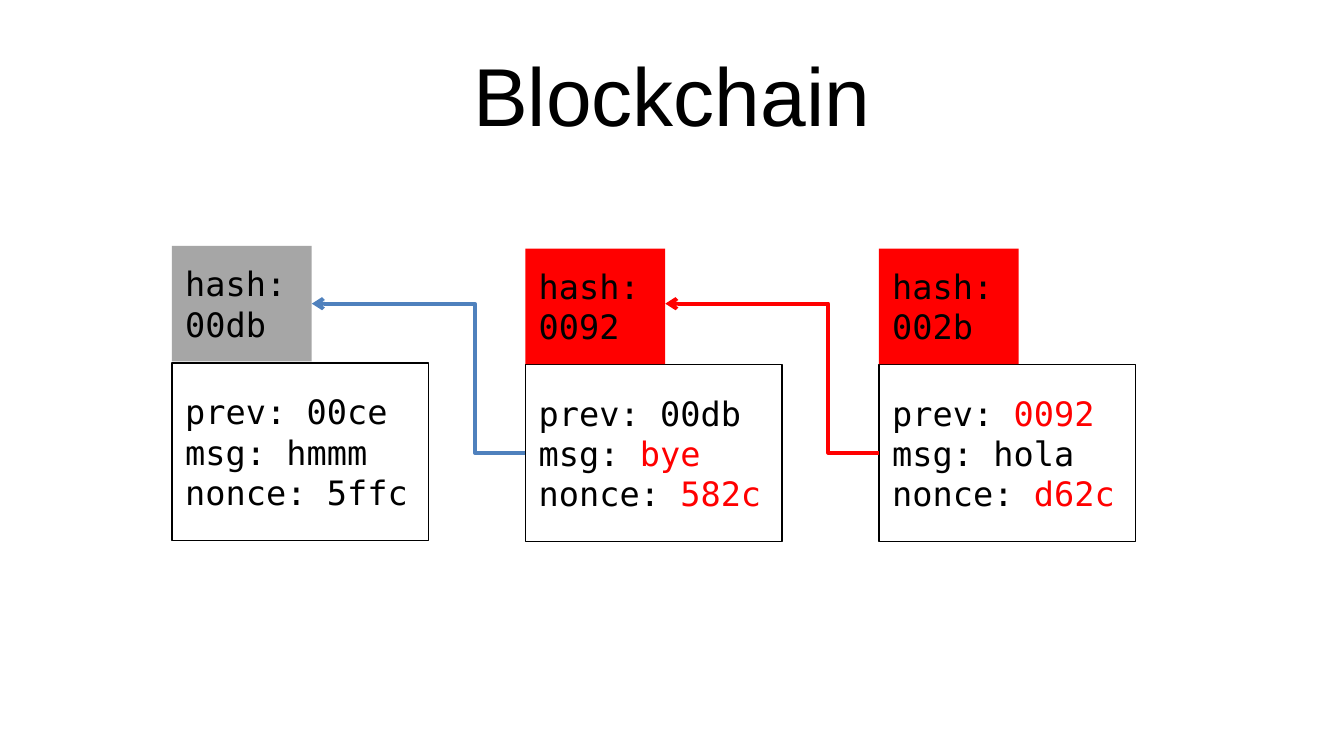
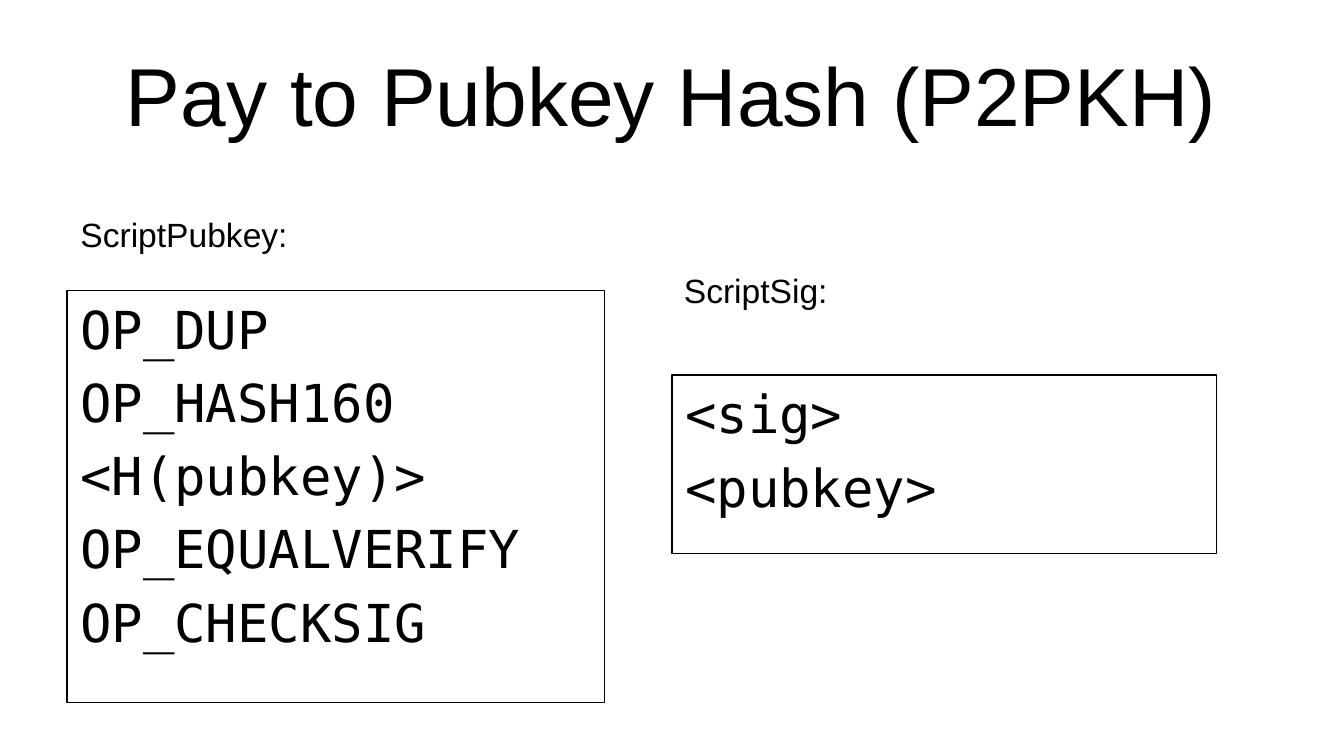
from lxml import etree
from pptx import Presentation
from pptx.dml.color import RGBColor
from pptx.enum.shapes import MSO_CONNECTOR, MSO_SHAPE
from pptx.enum.text import MSO_ANCHOR, PP_ALIGN
from pptx.oxml.ns import qn
from pptx.util import Inches, Pt

RECT, ELBOW = MSO_SHAPE.RECTANGLE, MSO_CONNECTOR.ELBOW
TOP, MIDDLE = MSO_ANCHOR.TOP, MSO_ANCHOR.MIDDLE
SANS, MONO = "Arial", "DejaVu Sans Mono"
BLACK, RED, GRAY, BLUE = "000000", "FF0000", "A6A6A6", "4F81BD"
SLIDE_W = 10
SLIDE_H = SLIDE_W * 9 / 16

# Content: each field is (label, value, value colour)
CHAIN_TITLE = "Blockchain"
BLOCKS = [
    {"hash": "00db", "fill": GRAY, "hash_top": 1.83, "top": 2.70, "link": None,
     "fields": [("prev", "00ce", BLACK), ("msg", "hmmm", BLACK), ("nonce", "5ffc", BLACK)]},
    {"hash": "0092", "fill": RED, "hash_top": 1.85, "top": 2.71, "link": BLUE,
     "fields": [("prev", "00db", BLACK), ("msg", "bye", RED), ("nonce", "582c", RED)]},
    {"hash": "002b", "fill": RED, "hash_top": 1.85, "top": 2.71, "link": RED,
     "fields": [("prev", "0092", RED), ("msg", "hola", BLACK), ("nonce", "d62c", RED)]},
]
SCRIPTS_TITLE = "Pay to Pubkey Hash (P2PKH)"
# Label, its place, lines, their box
SCRIPTS = [
    ("ScriptPubkey:", (0.5, 1.54, 1.79, 0.4),
     ["OP_DUP", "OP_HASH160", "<H(pubkey)>", "OP_EQUALVERIFY", "OP_CHECKSIG"],
     (0.5, 2.16, 4, 3.07)),
    ("ScriptSig:", (4.99, 1.96, 1.31, 0.4),
     ["<sig>", "<pubkey>"],
     (5, 2.79, 4.05, 1.33)),
]

# Chain layout
CHAIN_LEFT, CHAIN_STEP = 1.28, 2.63
BLOCK_W, BLOCK_H = 1.91, 1.32
HASH_W, HASH_H = 1.04, 0.86
LINK_START, LINK_END, LINK_BEND = 3.37, 2.26, 23700


def color(value):
    return RGBColor.from_string(value)


def style(font, name, size, value=BLACK):
    font.name, font.size, font.color.rgb = name, Pt(size), color(value)


def add_label(slide, text, at, size, wrap=False, align=PP_ALIGN.LEFT, anchor=TOP):
    frame = slide.shapes.add_textbox(*map(Inches, at)).text_frame
    frame.word_wrap, frame.vertical_anchor = wrap, anchor
    frame.text = text
    frame.paragraphs[0].alignment = align
    style(frame.paragraphs[0].runs[0].font, SANS, size)


def add_box(slide, at, anchor, fill=None):
    """Add a filled box, or an outlined one without a fill; return its text frame."""
    box = slide.shapes.add_shape(RECT, *map(Inches, at))
    box.shadow.inherit = False
    if fill:
        box.fill.solid()
        box.fill.fore_color.rgb = color(fill)
        box.line.fill.background()
    else:
        box.fill.background()
        box.line.color.rgb = color(BLACK)
        box.line.width = Pt(0.75)
    box.text_frame.word_wrap = True
    box.text_frame.vertical_anchor = anchor
    return box.text_frame


def next_paragraph(frame, index):
    paragraph = frame.paragraphs[0] if index == 0 else frame.add_paragraph()
    paragraph.alignment = PP_ALIGN.LEFT
    return paragraph


def add_run(paragraph, text, size, value=BLACK):
    run = paragraph.add_run()
    run.text = text
    style(run.font, MONO, size, value)


def add_link(slide, start, end, value):
    link = slide.shapes.add_connector(ELBOW, *map(Inches, start + end))
    link.line.color.rgb = color(value)
    link.line.width = Pt(2)
    properties = link._element.spPr
    geometry = properties.find(qn("a:prstGeom"))
    adjustments = geometry.find(qn("a:avLst"))
    if adjustments is None:
        adjustments = etree.SubElement(geometry, qn("a:avLst"))
    etree.SubElement(adjustments, qn("a:gd"), name="adj1", fmla=f"val {LINK_BEND}")
    etree.SubElement(properties.find(qn("a:ln")), qn("a:tailEnd"), type="arrow")
    etree.SubElement(properties, qn("a:effectLst"))


def add_slide(deck, title):
    slide = deck.slides.add_slide(deck.slide_layouts[6])
    add_label(slide, title, (0.5, 0.23, SLIDE_W - 1, 0.94), 44, True,
              PP_ALIGN.CENTER, MIDDLE)
    return slide


def build_chain(deck):
    slide = add_slide(deck, CHAIN_TITLE)
    for column, block in enumerate(BLOCKS):
        left = CHAIN_LEFT + column * CHAIN_STEP
        body = add_box(slide, (left, block["top"], BLOCK_W, BLOCK_H), MIDDLE)
        for row, (label, value, value_color) in enumerate(block["fields"]):
            paragraph = next_paragraph(body, row)
            add_run(paragraph, f"{label}: ", 18)
            add_run(paragraph, value, 18, value_color)

        tag = add_box(slide, (left, block["hash_top"], HASH_W, HASH_H), MIDDLE, block["fill"])
        paragraph = next_paragraph(tag, 0)
        add_run(paragraph, "hash:", 18)
        paragraph.add_line_break()
        add_run(paragraph, block["hash"], 18)

        # Each block points back to the hash of the one before
        if block["link"]:
            previous_edge = left - CHAIN_STEP + HASH_W
            add_link(slide, (left, LINK_START), (previous_edge, LINK_END), block["link"])


def build_scripts(deck):
    slide = add_slide(deck, SCRIPTS_TITLE)
    for label, label_at, lines, box_at in SCRIPTS:
        body = add_box(slide, box_at, TOP)
        for row, line in enumerate(lines):
            paragraph = next_paragraph(body, row)
            if row:
                paragraph.space_before = Pt(5.6)
            add_run(paragraph, line, 28)
        add_label(slide, label, label_at, 18)


def main():
    deck = Presentation()
    deck.slide_width, deck.slide_height = Inches(SLIDE_W), Inches(SLIDE_H)
    build_chain(deck)
    build_scripts(deck)
    deck.save("out.pptx")


if __name__ == "__main__":
    main()
